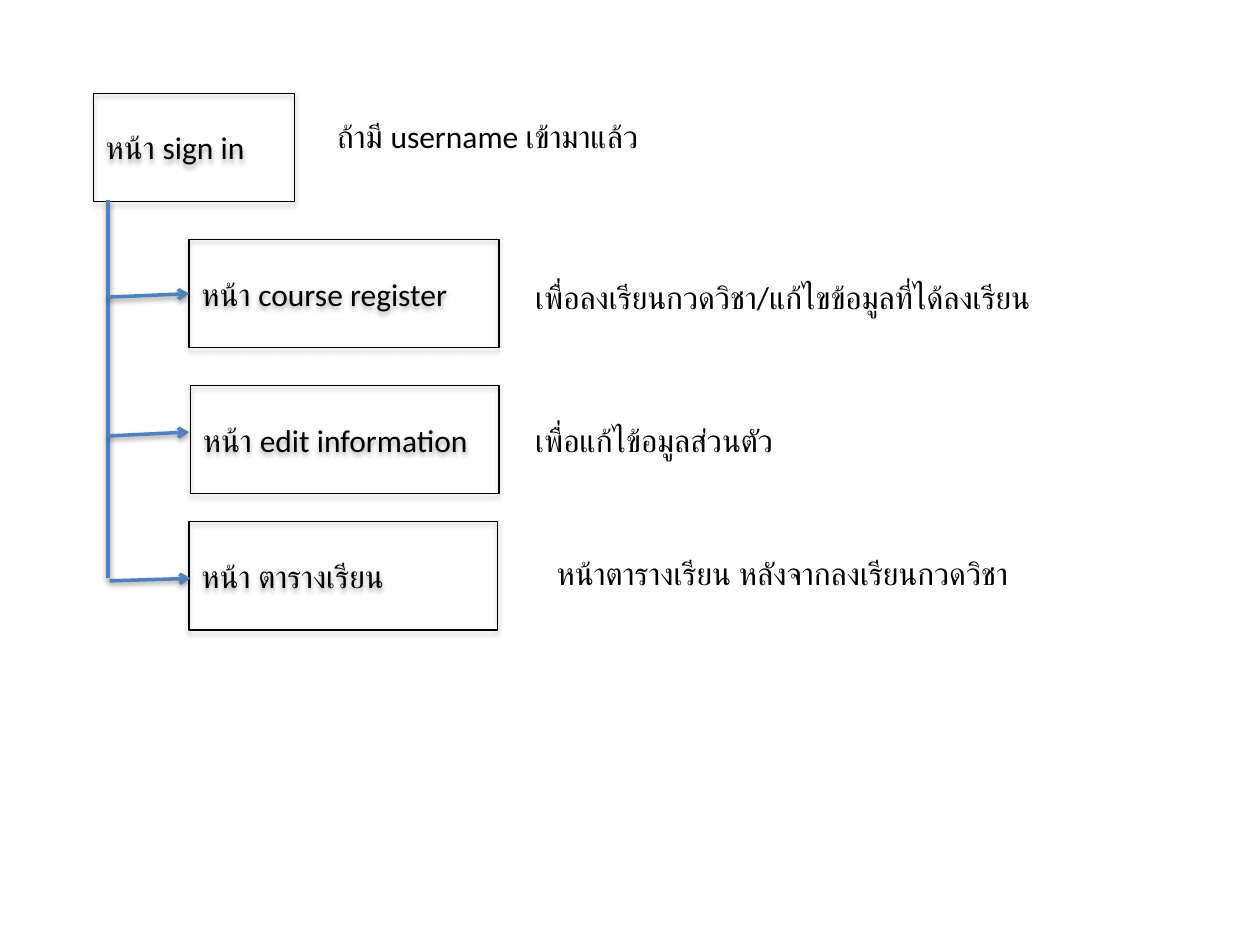
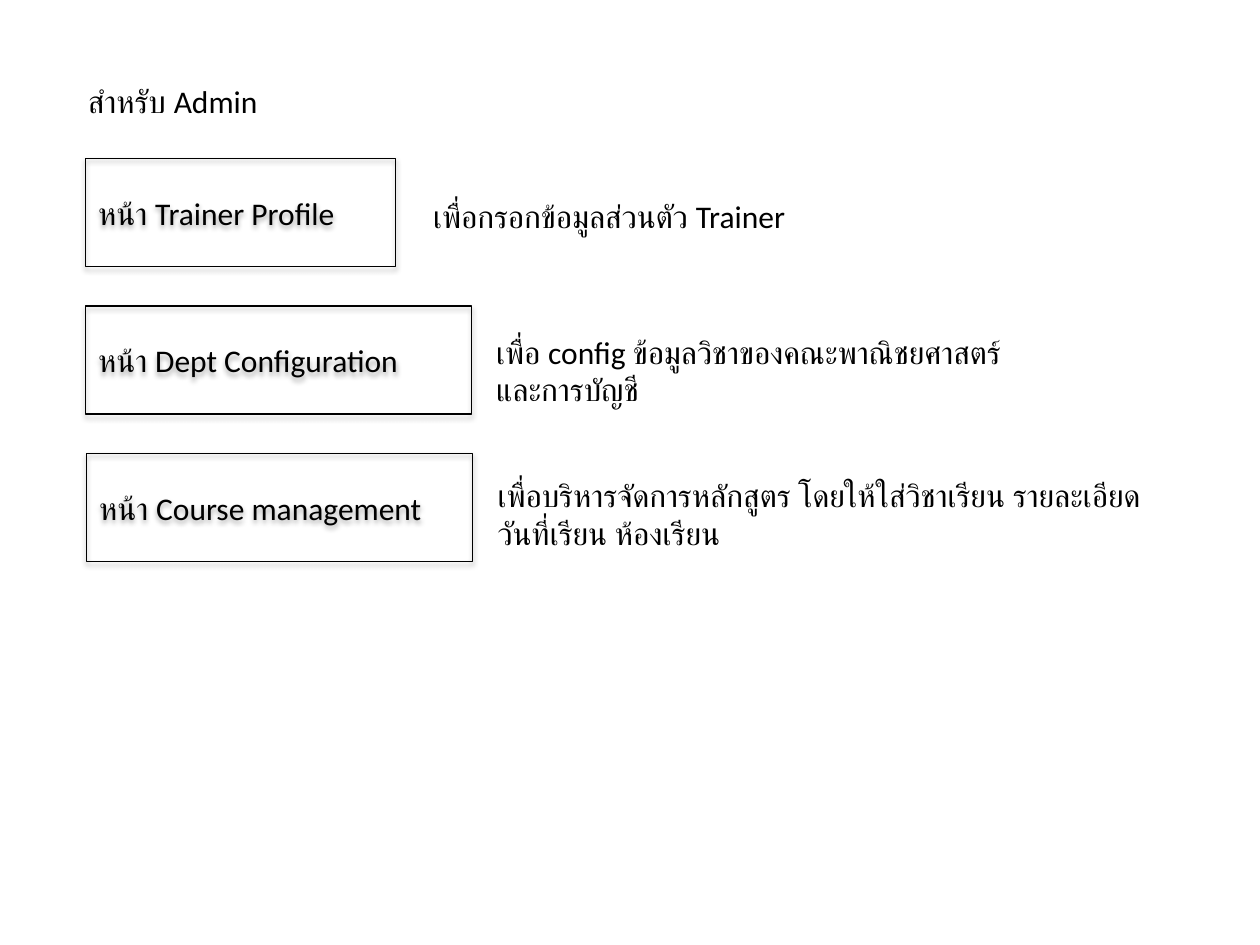
from lxml import etree
from pptx import Presentation
from pptx.dml.color import RGBColor
from pptx.enum.shapes import MSO_CONNECTOR, MSO_SHAPE
from pptx.enum.text import MSO_ANCHOR, MSO_AUTO_SIZE, PP_ALIGN
from pptx.oxml import parse_xml
from pptx.oxml.ns import qn
from pptx.util import Cm, Pt

BLACK = RGBColor(0x00, 0x00, 0x00)
BLUE = RGBColor(0x4F, 0x81, 0xBD)
RECT = MSO_SHAPE.RECTANGLE
LINE = MSO_CONNECTOR.STRAIGHT
LEFT = PP_ALIGN.LEFT
MIDDLE = MSO_ANCHOR.MIDDLE
GROW = MSO_AUTO_SIZE.SHAPE_TO_FIT_TEXT
FONT = {"name": "Calibri", "size": Pt(18)}
BOX = {"word_wrap": True, "vertical_anchor": MIDDLE}
NOTE = {"word_wrap": False, "auto_size": GROW}
NS = 'xmlns:a="http://schemas.openxmlformats.org/drawingml/2006/main"'
SHADE = (
    f'<a:effectLst {NS}><a:outerShdw blurRad="{Pt(3.1)}" dist="{{dist}}" '
    'dir="5400000" rotWithShape="0"><a:srgbClr val="000000">'
    '<a:alpha val="{alpha}"/></a:srgbClr></a:outerShdw></a:effectLst>'
)
EDGE = (
    f'<a:ln {NS} w="{Pt(0.75)}"><a:solidFill><a:srgbClr val="{BLACK}"/>'
    '</a:solidFill></a:ln>'
)
HIGH = 2.18
ROW = 1.02

PAGES = [
    {
        "boxes": [
            (1.88, 1.88, 4.06, "หน้า sign in"),
            (3.81, 4.83, 6.25, "หน้า course register"),
            (3.84, 7.77, 6.22, "หน้า edit information"),
            (3.81, 10.52, 6.22, "หน้า ตารางเรียน"),
        ],
        "notes": [
            (6.55, 2.24, 7.21, ["ถ้ามี username เข้ามาแล้ว"]),
            (10.54, 5.49, 11.86, ["เพื่อลงเรียนกวดวิชา/แก้ไขข้อมูลที่ได้ลงเรียน"]),
            (10.54, 8.36, 5.89, ["เพื่อแก้ไข้อมูลส่วนตัว"]),
            (10.97, 11.05, 10.97, ["หน้าตารางเรียน หลังจากลงเรียนกวดวิชา"]),
        ],
        "links": [
            (2.18, 4.04, 2.18, 11.66, False),
            (2.18, 5.99, 3.81, 5.92, True),
            (2.18, 8.79, 3.81, 8.71, True),
            (2.21, 11.71, 3.84, 11.66, True),
        ],
    },
    {
        "boxes": [
            (1.73, 3.2, 6.25, "หน้า Trainer Profile"),
            (1.73, 6.17, 7.77, "หน้า Dept Configuration"),
            (1.75, 9.14, 7.77, "หน้า Course management"),
        ],
        "notes": [
            (1.52, 1.52, 4.19, ["สำหรับ Admin"]),
            (8.48, 3.84, 8.31, ["เพื่อกรอกข้อมูลส่วนตัว Trainer"]),
            (9.75, 6.58, 12.09, ["เพื่อ config ข้อมูลวิชาของคณะพาณิชยศาสตร์", "และการบัญชี"]),
            (9.78, 9.47, 15.32, [
                "เพื่อบริหารจัดการหลักสูตร โดยให้ใส่วิชาเรียน รายละเอียด",
                "วันที่เรียน ห้องเรียน",
            ]),
        ],
        "links": [],
    },
]


def shade(shape, dist, alpha):
    props = shape._element.spPr
    for old in props.findall(qn("a:effectLst")):
        props.remove(old)
    props.append(parse_xml(SHADE.format(dist=Pt(dist), alpha=alpha * 1000)))


def write(shape, lines, frame):
    text = shape.text_frame
    for key, value in frame.items():
        setattr(text, key, value)
    for spot, line in enumerate(lines):
        para = text.add_paragraph() if spot else text.paragraphs[0]
        para.alignment = LEFT
        run = para.add_run()
        run.text = line
        for key, value in FONT.items():
            setattr(run.font, key, value)
        run.font.color.rgb = BLACK
        if frame is BOX:
            run.font._element.insert(0, parse_xml(EDGE))


deck = Presentation()
deck.slide_width = Cm(25.4)
deck.slide_height = Cm(19.05)

for page in PAGES:
    slide = deck.slides.add_slide(deck.slide_layouts[6])
    for left, top, width, label in page["boxes"]:
        box = slide.shapes.add_shape(RECT, Cm(left), Cm(top), Cm(width), Cm(HIGH))
        box.fill.background()
        box.line.color.rgb = BLACK
        box.line.width = Pt(0.75)
        shade(box, 1.8, 35)
        write(box, [label], BOX)
    for left, top, width, lines in page["notes"]:
        high = ROW + 0.78 * (len(lines) - 1)
        note = slide.shapes.add_textbox(Cm(left), Cm(top), Cm(width), Cm(high))
        write(note, lines, NOTE)
    for left, top, right, base, tip in page["links"]:
        link = slide.shapes.add_connector(LINE, Cm(left), Cm(top), Cm(right), Cm(base))
        link.line.color.rgb = BLUE
        link.line.width = Pt(2)
        if tip:
            etree.SubElement(link.line._get_or_add_ln(), qn("a:tailEnd"), type="arrow")
        shade(link, 1.6, 38)

deck.save("out.pptx")
